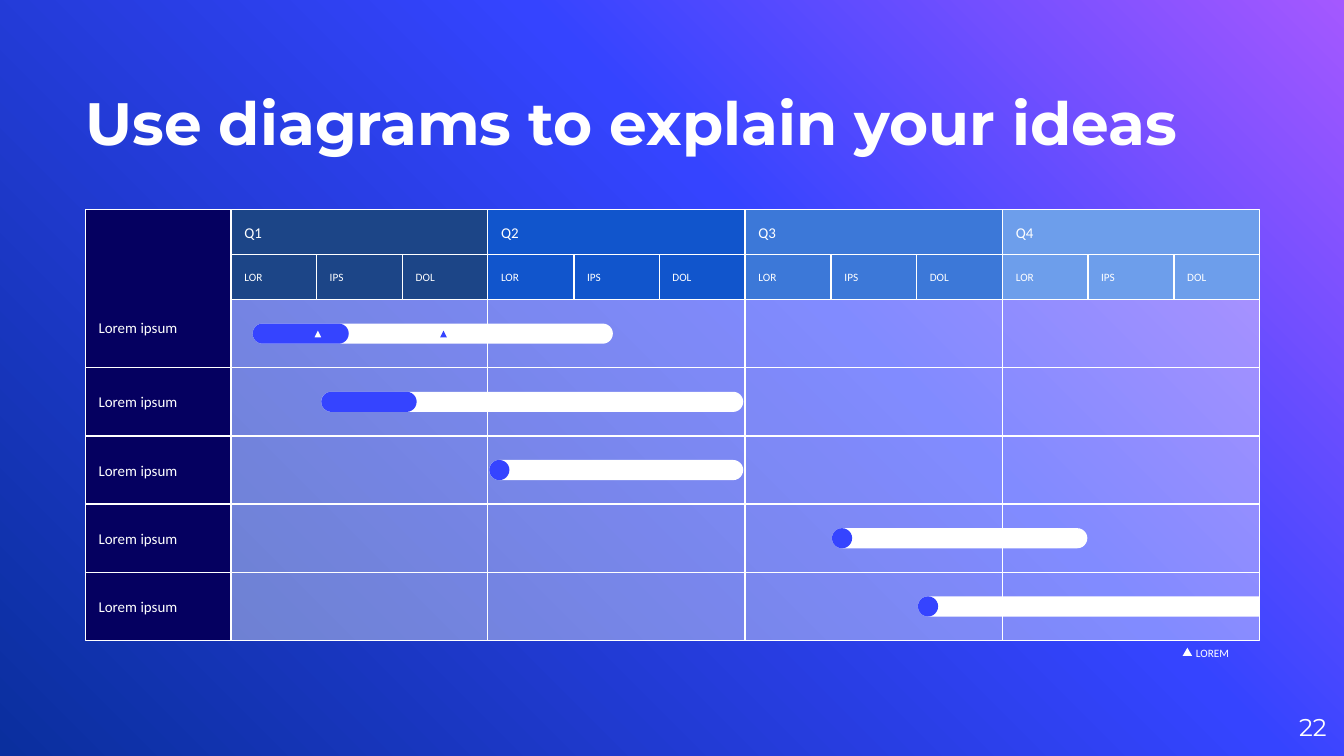
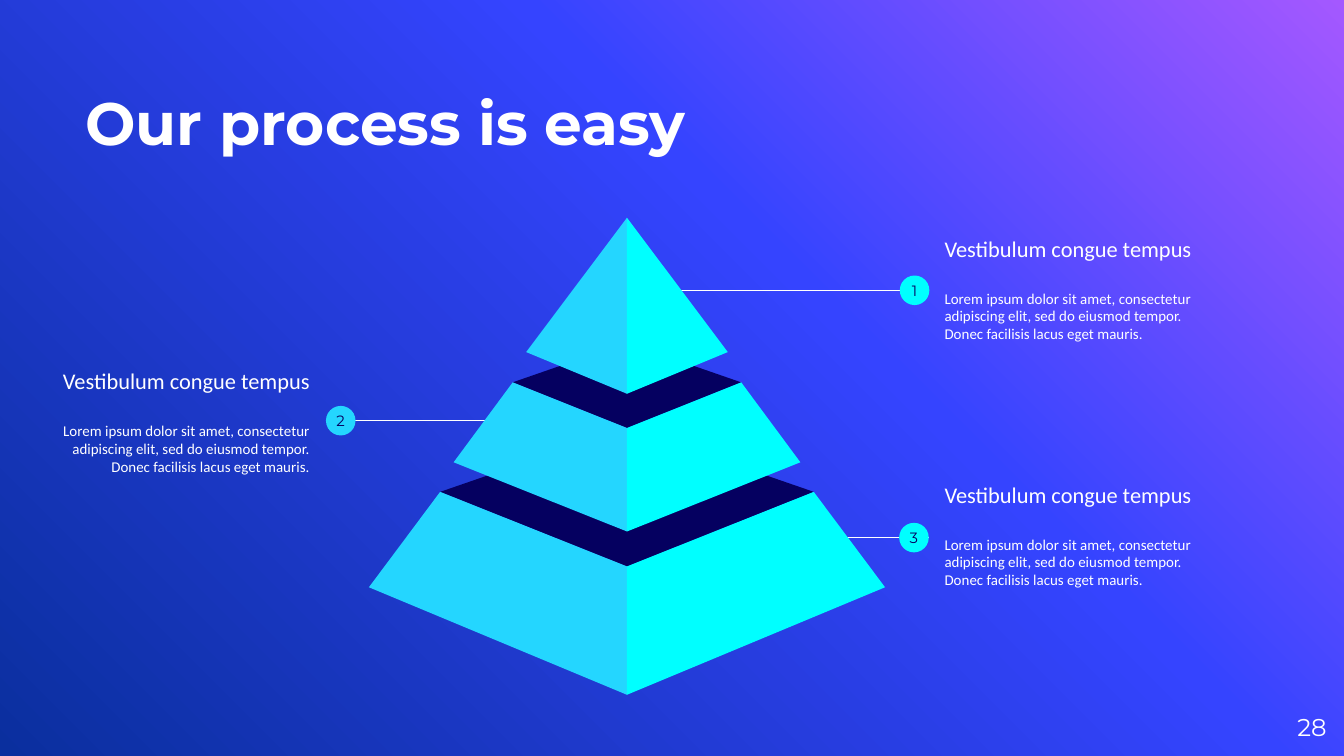
"""Build a quarterly timeline slide and a pyramid process slide."""
import copy
import dataclasses

import pptx
import pptx.dml.color
import pptx.enum.shapes
import pptx.enum.text
import pptx.oxml.ns
import pptx.util
from lxml import etree

EMU_PER_PX = 4572
SHAPE = pptx.enum.shapes.MSO_SHAPE
ANCHOR = pptx.enum.text.MSO_ANCHOR
ALIGN = pptx.enum.text.PP_ALIGN


@dataclasses.dataclass(frozen=True)
class Theme:
    """Colours, fonts and type sizes shared by the slides."""
    white: str = "FFFFFF"
    navy: str = "050060"
    accent: str = "3544FF"
    sky: str = "24D6FF"
    cyan: str = "00FFFF"
    quarters: tuple = ("1C4587", "1155CC", "3C78D8", "6D9EEB")
    backdrop: tuple = ((0, "A458FF"), (0.39, "3544FF"), (1, "0A2F9E"))
    backdrop_angle: int = 225
    cell_opacity: int = 38
    display_font: str = "Montserrat"
    body_font: str = "Calibri"
    title_size: int = 32
    number_size: int = 13
    heading_size: int = 12
    text_size: int = 8
    small_size: int = 6
    heading_gap: float = 14.6
    line_width: float = 0.75


THEME = Theme()
INSET = 20
GRID_LEFT, GRID_RIGHT = 344, 1874
LABEL_LEFT = 127
HEADER_TOP, MONTH_TOP, ROWS_TOP, ROWS_BOTTOM = 312, 379, 446, 953
MONTHS = ("LOR", "IPS", "DOL")
ROW_LABELS = ("Lorem ipsum",) * 5
BAR_HEIGHT = 30
BARS = (
    ((376, 912), (376, 519)),
    ((478, 1106), (478, 620)),
    ((728, 1106), (728, 758)),
    ((1238, 1618), (1238, 1268)),
    ((1366, 1874), (1366, 1396)),
)

DISC_SIZE = 44
PYRAMID_AXIS = 933
PYRAMID_TIERS = (
    (((655, 732), (933, 843), (933, 636)),
     ((655, 732), (549, 874), (933, 1034), (933, 843))),
    (((763, 569), (933, 637), (933, 510)),
     ((763, 569), (675, 688), (933, 791), (933, 637))),
    ((), ((933, 324), (783, 524), (933, 586))),
)
CALLOUT_HEADING = "Vestibulum congue tempus"
CALLOUT_BODY = ("Lorem ipsum dolor sit amet, consectetur adipiscing elit, "
                "sed do eiusmod tempor. Donec facilisis lacus eget mauris.")


def px(value):
    """Turn a length in px into EMU."""
    return pptx.util.Emu(round(value * EMU_PER_PX))


def rgb(colour):
    """Turn a hex string into a colour."""
    return pptx.dml.color.RGBColor.from_string(colour)


def edges(start, end, count):
    """Return the whole-px edges of equal divisions."""
    return [round(start + (end - start) * index / count) for index in range(count + 1)]


def format_paragraph(paragraph, size, colour=THEME.white, font=THEME.body_font,
                     bold=False, align=ALIGN.LEFT):
    """Apply alignment and type to a paragraph and its runs."""
    paragraph.alignment = align
    for run in paragraph.runs:
        run.font.name = font
        run.font.size = pptx.util.Pt(size)
        run.font.bold = bold
        run.font.color.rgb = rgb(colour)


def write_text(shape, text, size, inset=INSET, anchor=ANCHOR.MIDDLE, **style):
    """Put formatted text into a shape."""
    frame = shape.text_frame
    frame.word_wrap = True
    frame.vertical_anchor = anchor
    frame.margin_left = frame.margin_right = px(inset)
    frame.margin_top = frame.margin_bottom = px(inset)
    frame.text = text
    for paragraph in frame.paragraphs:
        format_paragraph(paragraph, size, **style)


def add_text(slide, left, top, width, height, text, size, **style):
    """Add a text box and return it."""
    box = slide.shapes.add_textbox(px(left), px(top), px(width), px(height))
    write_text(box, text, size, **style)
    return box


def paint(shape, colour, outlined=False):
    """Give a shape a flat fill and an optional white outline."""
    shape.shadow.inherit = False
    shape.fill.solid()
    shape.fill.fore_color.rgb = rgb(colour)
    if outlined:
        shape.line.color.rgb = rgb(THEME.white)
        shape.line.width = pptx.util.Pt(THEME.line_width)
    else:
        shape.line.fill.background()


def add_preset(slide, kind, left, top, width, height, colour, outlined=False):
    """Add a painted preset shape."""
    shape = slide.shapes.add_shape(kind, px(left), px(top), px(width), px(height))
    paint(shape, colour, outlined)
    return shape


def add_cell(slide, left, top, right, bottom, colour, text="", size=THEME.text_size, **style):
    """Add one outlined grid cell."""
    cell = add_preset(slide, SHAPE.RECTANGLE, left, top, right - left, bottom - top,
                      colour, outlined=True)
    if text:
        write_text(cell, text, size, **style)
    return cell


def set_opacity(shape, percent):
    """Make a solid fill translucent."""
    colour = shape.element.spPr.find(".//" + pptx.oxml.ns.qn("a:srgbClr"))
    etree.SubElement(colour, pptx.oxml.ns.qn("a:alpha"), val=str(percent * 1000))


def add_bar(slide, left, right, middle, colour, square_end=False):
    """Add a horizontal bar with rounded ends."""
    length = right - left
    bar = add_preset(slide, SHAPE.ROUND_2_SAME_RECTANGLE,
                     (left + right - BAR_HEIGHT) / 2, middle - length / 2,
                     BAR_HEIGHT, length, colour)
    bar.rotation = 90
    bar.adjustments[0] = 0 if square_end else 0.5
    bar.adjustments[1] = 0.5


def add_polygon(slide, points, colour):
    """Add a closed outline through the points."""
    builder = slide.shapes.build_freeform(*points[0], scale=EMU_PER_PX)
    builder.add_line_segments(points[1:], close=True)
    paint(builder.convert_to_shape(), colour)


def add_leader(slide, start, end, level):
    """Add a horizontal leader line."""
    line = slide.shapes.add_connector(pptx.enum.shapes.MSO_CONNECTOR.STRAIGHT,
                                      px(start), px(level), px(end), px(level))
    line.line.color.rgb = rgb(THEME.white)
    line.line.width = pptx.util.Pt(THEME.line_width)
    etree.SubElement(line.element.spPr, pptx.oxml.ns.qn("a:effectLst"))


def add_callout(slide, number, line_start, line_end, centre, level, colour,
                text_left, text_top, align):
    """Add a leader, a numbered disc and its explanation."""
    add_leader(slide, line_start, line_end, level)
    box = add_text(slide, text_left, text_top, 408, 302, CALLOUT_HEADING,
                   THEME.heading_size, align=align)
    box.text_frame.paragraphs[0].space_after = pptx.util.Pt(THEME.heading_gap)
    body = box.text_frame.add_paragraph()
    body.text = CALLOUT_BODY
    format_paragraph(body, THEME.text_size, align=align)
    disc = add_preset(slide, SHAPE.OVAL, centre - DISC_SIZE / 2, level - DISC_SIZE / 2,
                      DISC_SIZE, DISC_SIZE, colour)
    write_text(disc, number, THEME.text_size, inset=0, colour=THEME.navy,
               font=THEME.display_font, align=ALIGN.CENTER)


def set_backdrop(slide):
    """Fill the slide background with the shared gradient."""
    fill = slide.background.fill
    fill.gradient()
    fill.gradient_angle = THEME.backdrop_angle
    stops = slide.element.find(".//" + pptx.oxml.ns.qn("a:gsLst"))
    stops.append(copy.deepcopy(stops[-1]))
    for stop, (position, colour) in zip(fill.gradient_stops, THEME.backdrop):
        stop.position = position
        stop.color.rgb = rgb(colour)


def add_base_slide(presentation, title, title_width, number):
    """Add a blank slide with backdrop, title and number."""
    slide = presentation.slides.add_slide(presentation.slide_layouts[6])
    set_backdrop(slide)
    add_text(slide, LABEL_LEFT, 46, title_width, 188, title, THEME.title_size, inset=0,
             anchor=ANCHOR.BOTTOM, font=THEME.display_font, bold=True)
    add_text(slide, 1854, 1039, 120, 86, number, THEME.number_size, inset=0,
             font=THEME.display_font, align=ALIGN.RIGHT)
    return slide


def add_quarters(slide, row_edges):
    """Add the quarter and month headers with their empty cells."""
    quarter_edges = edges(GRID_LEFT, GRID_RIGHT, len(THEME.quarters))
    for index, colour in enumerate(THEME.quarters):
        left, right = quarter_edges[index:index + 2]
        for top, bottom in zip(row_edges, row_edges[1:]):
            set_opacity(add_cell(slide, left, top, right, bottom, THEME.white),
                        THEME.cell_opacity)
        add_cell(slide, left, HEADER_TOP, right, MONTH_TOP, colour, f"Q{index + 1}")
        month_edges = edges(left, right, len(MONTHS))
        for month, start, end in zip(MONTHS, month_edges, month_edges[1:]):
            add_cell(slide, start, MONTH_TOP, end, ROWS_TOP, colour, month, THEME.small_size)


def build_timeline(presentation):
    """Build the quarterly timeline slide."""
    slide = add_base_slide(presentation, "Use diagrams to explain your ideas", 1748, "22")
    row_edges = edges(ROWS_TOP, ROWS_BOTTOM, len(ROW_LABELS))
    add_quarters(slide, row_edges)
    for index, (label, (planned, done)) in enumerate(zip(ROW_LABELS, BARS)):
        top, bottom = row_edges[index:index + 2]
        first = index == 0
        cell = add_cell(slide, LABEL_LEFT, HEADER_TOP if first else top, GRID_LEFT, bottom,
                        THEME.navy, label, anchor=ANCHOR.BOTTOM if first else ANCHOR.MIDDLE)
        if first:
            cell.text_frame.margin_bottom = px(47)
        middle = (top + bottom) / 2
        add_bar(slide, *planned, middle, THEME.white, square_end=planned[1] == GRID_RIGHT)
        add_bar(slide, *done, middle, THEME.accent)
    for left, colour in ((468, THEME.white), (655, THEME.accent)):
        add_preset(slide, SHAPE.ISOSCELES_TRIANGLE, left, 492, 10, 10, colour)
    add_text(slide, 1760, 960, 112, 22, "LOREM", THEME.small_size)
    add_preset(slide, SHAPE.ISOSCELES_TRIANGLE, 1760, 964, 14, 12, THEME.white)


def mirror(points):
    """Reflect points across the pyramid axis."""
    return [(2 * PYRAMID_AXIS - x, y) for x, y in points]


def build_process(presentation):
    """Build the pyramid process slide."""
    slide = add_base_slide(presentation, "Our process is easy", 1316, "28")
    add_callout(slide, "3", 1254, 1382, 1360, 800, THEME.cyan, 1386, 645, ALIGN.LEFT)
    add_callout(slide, "2", 728, 500, 507, 626, THEME.sky, 73, 476, ALIGN.RIGHT)
    add_callout(slide, "1", 1006, 1382, 1361, 432, THEME.cyan, 1386, 279, ALIGN.LEFT)
    for lid, face in PYRAMID_TIERS:
        if lid:
            corner, front, back = lid
            add_polygon(slide, [corner, front, *mirror([corner]), back], THEME.navy)
        add_polygon(slide, face, THEME.sky)
        add_polygon(slide, mirror(face), THEME.cyan)


def main():
    """Create the presentation and save it."""
    presentation = pptx.Presentation()
    presentation.slide_width = px(2000)
    presentation.slide_height = px(1125)
    build_timeline(presentation)
    build_process(presentation)
    presentation.save("out.pptx")


if __name__ == "__main__":
    main()
